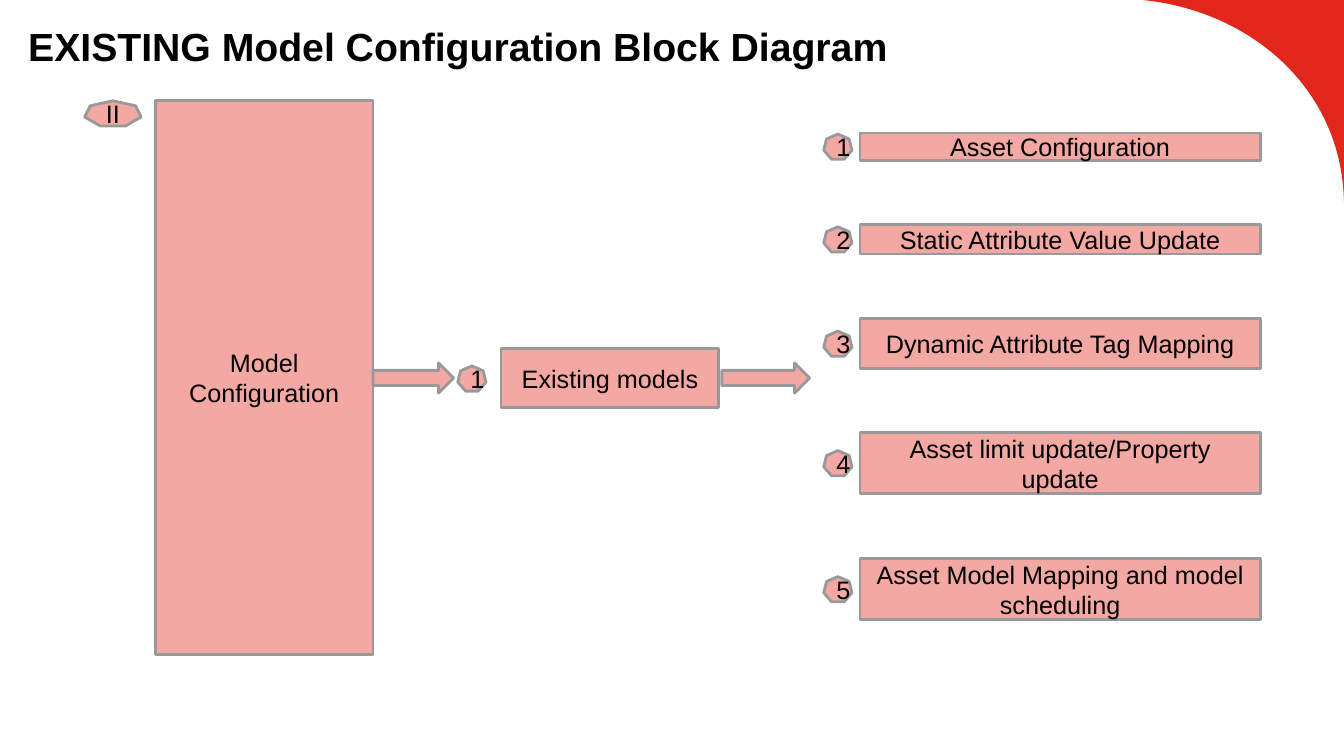
from pptx import Presentation
from pptx.dml.color import RGBColor
from pptx.enum.shapes import MSO_SHAPE as Preset
from pptx.enum.text import MSO_ANCHOR as Anchor, MSO_AUTO_SIZE as AutoSize, PP_ALIGN as Align
from pptx.util import Inches, Pt

BLACK = RGBColor(0x00, 0x00, 0x00)
RED = RGBColor(0xE1, 0x26, 0x1C)
PINK = RGBColor(0xF4, 0xA8, 0xA4)
GRAY = RGBColor(0x99, 0x99, 0x99)

# label, top, height
STEPS = [
    ("Asset Configuration", 1.32, 0.27),
    ("Static Attribute Value Update", 2.23, 0.29),
    ("Dynamic Attribute Tag Mapping", 3.16, 0.5),
    ("Asset limit update/Property update", 4.29, 0.61),
    ("Asset Model Mapping and model scheduling", 5.54, 0.61),
]
BADGE_HEIGHT = 0.25


def write_text(shape, text, size=18, bold=False, align=Align.CENTER, anchor=Anchor.MIDDLE):
    frame = shape.text_frame
    frame.word_wrap = True
    frame.auto_size = AutoSize.NONE
    frame.vertical_anchor = anchor
    frame.text = text
    paragraph = frame.paragraphs[0]
    paragraph.alignment = align
    font = paragraph.runs[0].font
    font.name = "Arial"
    font.size = Pt(size)
    font.bold = bold
    font.color.rgb = BLACK


def add_block(slide, preset, left, top, width, height, text=None):
    shape = slide.shapes.add_shape(
        preset, Inches(left), Inches(top), Inches(width), Inches(height))
    shape.shadow.inherit = False
    shape.fill.solid()
    shape.fill.fore_color.rgb = PINK
    shape.line.color.rgb = GRAY
    shape.line.width = Pt(2)
    if text:
        write_text(shape, text)


def add_badge(slide, left, top, text, width=0.28):
    add_block(slide, Preset.HEPTAGON, left, top, width, BADGE_HEIGHT, text)


def curve_points(start, control1, control2, end, count=40):
    """Points along a cubic curve, in EMU."""
    points = []
    for step in range(count + 1):
        t = step / count
        weights = ((1 - t) ** 3, 3 * t * (1 - t) ** 2, 3 * t * t * (1 - t), t ** 3)
        points.append(tuple(
            Inches(sum(weight * value for weight, value in zip(weights, values)))
            for values in zip(start, control1, control2, end)))
    return points


def add_corner(slide):
    builder = slide.shapes.build_freeform(Inches(13.33), 0)
    builder.add_line_segments(
        curve_points((13.33, 2), (13.31, 0.9), (12.43, 0.11), (11.33, 0)), close=True)
    corner = builder.convert_to_shape()
    corner.shadow.inherit = False
    corner.fill.solid()
    corner.fill.fore_color.rgb = RED
    corner.line.fill.background()


def add_title(slide, text):
    title = slide.shapes.title
    title.left, title.top = Inches(0.18), Inches(0.14)
    title.width, title.height = Inches(13.06), Inches(0.46)
    write_text(title, text, size=28, bold=True, align=Align.LEFT, anchor=Anchor.TOP)
    title.text_frame.margin_top = Inches(0.08)


def main():
    presentation = Presentation()
    presentation.slide_width = Inches(13.33)
    presentation.slide_height = Inches(7.5)
    slide = presentation.slides.add_slide(presentation.slide_layouts[5])

    add_corner(slide)
    add_title(slide, "EXISTING Model Configuration Block Diagram")

    add_badge(slide, 0.84, 1, "II", width=0.56)
    add_block(slide, Preset.RECTANGLE, 1.54, 1, 2.16, 5.49, "Model Configuration")
    add_block(slide, Preset.RIGHT_ARROW, 3.7, 3.6, 0.8, 0.3)
    add_badge(slide, 4.54, 3.63, "1")
    add_block(slide, Preset.RECTANGLE, 4.97, 3.46, 2.16, 0.58, "Existing models")
    add_block(slide, Preset.RIGHT_ARROW, 7.16, 3.6, 0.87, 0.3)

    for number, (label, top, height) in enumerate(STEPS, start=1):
        add_block(slide, Preset.RECTANGLE, 8.53, top, 3.97, height, label)
        add_badge(slide, 8.17, top + (height - BADGE_HEIGHT) / 2, str(number))

    presentation.save("out.pptx")


if __name__ == "__main__":
    main()
